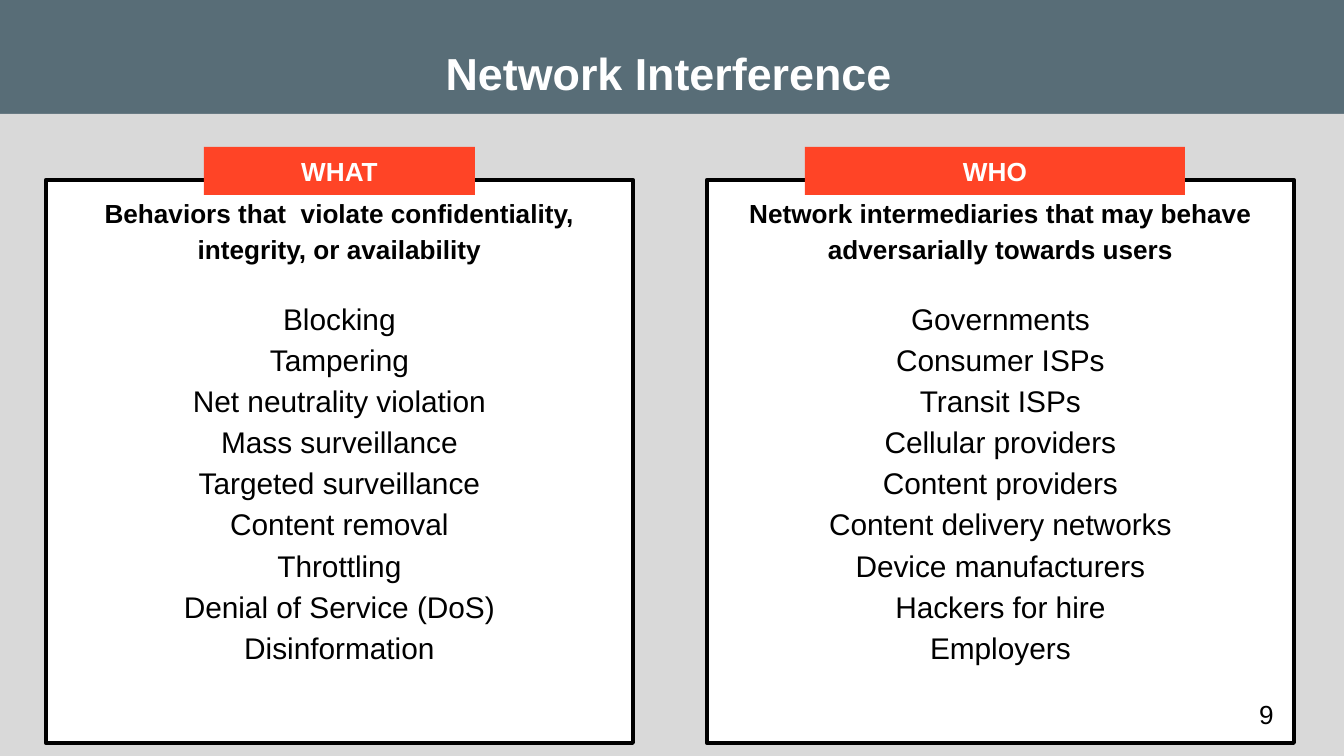
from dataclasses import dataclass

from pptx import Presentation
from pptx.dml.color import RGBColor
from pptx.enum.shapes import MSO_SHAPE
from pptx.enum.text import MSO_ANCHOR, PP_ALIGN
from pptx.shapes.autoshape import Shape
from pptx.slide import Slide
from pptx.text.text import _Paragraph as Paragraph
from pptx.util import Emu, Pt

SLIDE_WIDTH, SLIDE_HEIGHT = 1344, 756
SCALE = 9144000 / SLIDE_WIDTH
INSET = 13
FONT = "Arial"

SLATE = RGBColor(0x58, 0x6D, 0x77)
GREY = RGBColor(0xD9, 0xD9, 0xD9)
ORANGE = RGBColor(0xFF, 0x44, 0x26)
WHITE = RGBColor(0xFF, 0xFF, 0xFF)
BLACK = RGBColor(0x00, 0x00, 0x00)

HEADER_HEIGHT = 114
PANEL_TOP, PANEL_WIDTH, PANEL_HEIGHT = 180, 587, 563
TAG_TOP, TAG_HEIGHT = 147, 48


@dataclass(frozen=True)
class Area:
    left: int
    top: int
    width: int
    height: int

    def emu(self) -> list[Emu]:
        return [Emu(round(px * SCALE))
                for px in (self.left, self.top, self.width, self.height)]


@dataclass(frozen=True)
class Panel:
    left: int
    tag: str
    tag_left: int
    tag_width: int
    heading: str
    items: tuple[str, ...]


PANELS = (
    Panel(707, "WHO", 805, 380,
          "Network intermediaries that may behave adversarially towards users",
          ("Governments", "Consumer ISPs", "Transit ISPs", "Cellular providers",
           "Content providers", "Content delivery networks",
           "Device manufacturers", "Hackers for hire", "Employers")),
    Panel(46, "WHAT", 204, 271,
          "Behaviors that  violate confidentiality, integrity, or availability",
          ("Blocking", "Tampering", "Net neutrality violation",
           "Mass surveillance", "Targeted surveillance", "Content removal",
           "Throttling", "Denial of Service (DoS)", "Disinformation")),
)


def set_frame(box: Shape, anchor: MSO_ANCHOR) -> None:
    frame = box.text_frame
    frame.word_wrap = True
    frame.vertical_anchor = anchor
    inset = Emu(round(INSET * SCALE))
    frame.margin_left = frame.margin_right = inset
    frame.margin_top = frame.margin_bottom = inset


def add_span(para: Paragraph, text: str, size: int, color: RGBColor,
             bold: bool = False) -> None:
    span = para.add_run()
    span.text = text
    span.font.name = FONT
    span.font.size = Pt(size)
    span.font.bold = bold
    span.font.color.rgb = color


def add_rectangle(page: Slide, area: Area, fill: RGBColor) -> Shape:
    box = page.shapes.add_shape(MSO_SHAPE.RECTANGLE, *area.emu())
    box.shadow.inherit = False
    box.fill.solid()
    box.fill.fore_color.rgb = fill
    box.line.fill.background()
    return box


def add_label(page: Slide, area: Area, text: str, size: int, color: RGBColor,
              bold: bool, align: PP_ALIGN) -> None:
    box = page.shapes.add_textbox(*area.emu())
    set_frame(box, MSO_ANCHOR.MIDDLE)
    para = box.text_frame.paragraphs[0]
    para.alignment = align
    add_span(para, text, size, color, bold)


def add_panel(page: Slide, panel: Panel) -> None:
    area = Area(panel.left, PANEL_TOP, PANEL_WIDTH, PANEL_HEIGHT)
    box = add_rectangle(page, area, WHITE)
    box.line.color.rgb = BLACK
    box.line.width = Pt(2.25)
    set_frame(box, MSO_ANCHOR.TOP)

    heading = box.text_frame.paragraphs[0]
    listing = box.text_frame.add_paragraph()
    for para in (heading, listing):
        para.alignment = PP_ALIGN.CENTER
        para.line_spacing = 1.15
        para.space_after = Pt(16)
    add_span(heading, panel.heading, 14, BLACK, bold=True)
    for index, item in enumerate(panel.items):
        if index:
            listing.add_line_break()
        add_span(listing, item, 16, BLACK)


def add_tag(page: Slide, panel: Panel) -> None:
    area = Area(panel.tag_left, TAG_TOP, panel.tag_width, TAG_HEIGHT)
    box = add_rectangle(page, area, ORANGE)
    set_frame(box, MSO_ANCHOR.MIDDLE)
    para = box.text_frame.paragraphs[0]
    para.alignment = PP_ALIGN.CENTER
    add_span(para, panel.tag, 14, WHITE, bold=True)


def main() -> None:
    deck = Presentation()
    deck.slide_width = Emu(round(SLIDE_WIDTH * SCALE))
    deck.slide_height = Emu(round(SLIDE_HEIGHT * SCALE))
    page = deck.slides.add_slide(deck.slide_layouts[6])
    page.background.fill.solid()
    page.background.fill.fore_color.rgb = SLATE

    add_rectangle(page, Area(0, HEADER_HEIGHT, SLIDE_WIDTH,
                             SLIDE_HEIGHT - HEADER_HEIGHT), GREY)
    add_label(page, Area(42, 30, 1253, 85), "Network Interference", 24,
              WHITE, True, PP_ALIGN.CENTER)
    for panel in PANELS:
        add_panel(page, panel)
        add_tag(page, panel)
    add_label(page, Area(1246, 685, 81, 58), "9", 14, BLACK, False,
              PP_ALIGN.LEFT)
    deck.save("out.pptx")


if __name__ == "__main__":
    main()
